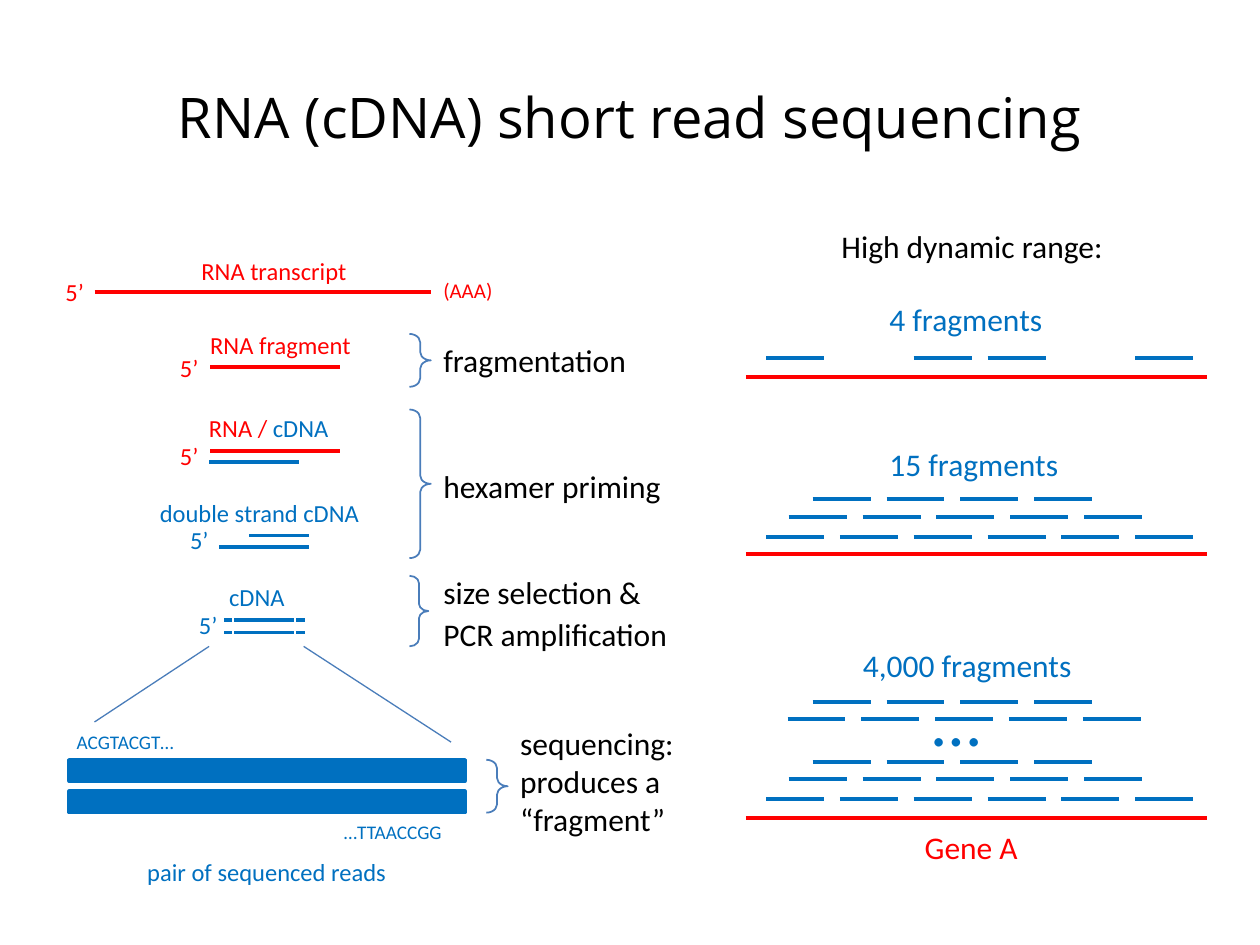
from lxml.etree import SubElement
from pptx import Presentation
from pptx.dml.color import RGBColor
from pptx.enum.shapes import MSO_CONNECTOR, MSO_SHAPE
from pptx.enum.text import MSO_ANCHOR, MSO_AUTO_SIZE, PP_ALIGN
from pptx.oxml.ns import qn
from pptx.util import Cm, Pt

RED = RGBColor(0xFF, 0x00, 0x00)
BLUE = RGBColor(0x00, 0x70, 0xC0)
STEEL = RGBColor(0x4A, 0x7D, 0xBA)
BLACK = RGBColor(0x00, 0x00, 0x00)

# Positions are in inches; inch() turns them into Cm lengths.
TITLE = "RNA (cDNA) short read sequencing"

# left, top, width, height, size, [(text, colour), ...]
LABELS = [
    (3.42, 2.15, 0.67, 0.3, 12, [("(AAA)", RED)]),
    (1.5, 1.98, 1.45, 0.34, 14, [("RNA transcript", RED)]),
    (1.57, 2.57, 1.4, 0.34, 14, [("RNA fragment", RED)]),
    (1.56, 3.23, 1.33, 0.34, 14, [("RNA / ", RED), ("cDNA", BLUE)]),
    (1.17, 3.9, 1.88, 0.34, 14, [("double strand cDNA", BLUE)]),
    (1.72, 4.57, 0.7, 0.34, 14, [("cDNA", BLUE)]),
    (3.42, 2.66, 1.67, 0.4, 18, [("fragmentation", BLACK)]),
    (3.42, 3.66, 1.96, 0.4, 18, [("hexamer priming", BLACK)]),
    (3.42, 4.5, 1.84, 0.4, 18, [("size selection &", BLACK)]),
    (3.42, 4.83, 2.12, 0.4, 18, [("PCR amplification", BLACK)]),
    (4.03, 5.7, 1.62, 1.01, 18, [("sequencing: produces a “fragment”", BLACK)]),
    (0.51, 5.75, 1.15, 0.29, 11, [("ACGTACGT…", BLUE)]),
    (2.63, 6.46, 1.15, 0.29, 11, [("…TTAACCGG", BLUE)]),
    (1.07, 6.75, 2.12, 0.34, 14, [("pair of sequenced reads", BLUE)]),
    (6.58, 1.75, 2.38, 0.4, 18, [("High dynamic range:", BLACK)]),
    (6.96, 2.33, 1.46, 0.4, 18, [("4 fragments", BLUE)]),
    (6.96, 3.48, 1.58, 0.4, 18, [("15 fragments", BLUE)]),
    (6.75, 5.08, 1.9, 0.4, 18, [("4,000 fragments", BLUE)]),
    (7.3, 5.32, 0.67, 0.77, 40, [("…", BLUE)]),
    (7.24, 6.52, 0.98, 0.4, 18, [("Gene A", RED)]),
]
FIVE_PRIME = [(0.42, 2.15, RED), (1.33, 2.75, RED), (1.33, 3.45, RED),
              (1.41, 4.12, BLUE), (1.48, 4.79, BLUE)]

# start, end, height, colour
STRANDS = [
    (0.75, 3.42, 2.32, RED),
    (1.67, 2.7, 2.91, RED),
    (1.67, 2.7, 3.58, RED),
    (1.66, 2.37, 3.67, BLUE),
    (1.74, 2.45, 4.34, BLUE),
    (1.98, 2.45, 4.25, BLUE),
]
ADAPTED_CDNA = [(1.78, 1.84), (1.86, 2.33), (2.35, 2.42)]
ADAPTED_LEVELS = [4.92, 5.02]
ZOOM_LINES = [(1.66, 5.13, 0.75, 5.73), (2.41, 5.13, 3.58, 5.89)]
BRACES = [(3.25, 2.65, 0.17, 0.42), (3.25, 3.25, 0.17, 1.18),
          (3.25, 4.57, 0.15, 0.56), (3.86, 6.03, 0.17, 0.42)]
READ_TOPS = [6.03, 6.28]

GENE_START, GENE_END = 5.92, 9.58
GENE_LEVELS = [2.99, 4.4, 6.49]
FRAGMENT, PITCH = 0.46, 0.586
# first slot, height, occupied slots
FRAGMENT_ROWS = [
    (6.08, 2.84, (0, 2, 3, 5)),
    (6.08, 4.26, range(6)),
    (6.26, 4.1, range(5)),
    (6.45, 3.96, range(4)),
    (6.08, 6.34, range(6)),
    (6.26, 6.18, range(5)),
    (6.45, 6.05, range(4)),
    (6.25, 5.71, range(5)),
    (6.45, 5.57, range(4)),
]

prs = Presentation()
prs.slide_width, prs.slide_height = Cm(25.4), Cm(19.05)
s = prs.slides.add_slide(prs.slide_layouts[6])


def inch(value):
    return Cm(value * 2.54)


def add_line(x1, y1, x2, y2, color, width=2.25):
    line = s.shapes.add_connector(MSO_CONNECTOR.STRAIGHT,
                                  *map(inch, (x1, y1, x2, y2)))
    line.line.color.rgb = color
    line.line.width = Pt(width)
    SubElement(line._element.spPr, qn("a:effectLst"))


def add_shape(kind, box, color, width):
    sp = s.shapes.add_shape(kind, *map(inch, box))
    sp.shadow.inherit = False
    sp.line.color.rgb = color
    sp.line.width = Pt(width)
    return sp


def add_text(box, size, runs, font="Calibri"):
    tf = s.shapes.add_textbox(*map(inch, box)).text_frame
    tf.word_wrap = True
    tf.auto_size = MSO_AUTO_SIZE.SHAPE_TO_FIT_TEXT
    for text, color in runs:
        r = tf.paragraphs[0].add_run()
        r.text = text
        for name, value in {"name": font, "size": Pt(size)}.items():
            setattr(r.font, name, value)
        r.font.color.rgb = color
    return tf


title = add_text((0.5, 0.3, 9, 1.25), 32, [(TITLE, BLACK)], "Open Sans")
title.auto_size = MSO_AUTO_SIZE.NONE
title.vertical_anchor = MSO_ANCHOR.MIDDLE
title.paragraphs[0].alignment = PP_ALIGN.CENTER

for start, end, y, color in STRANDS:
    add_line(start, y, end, y, color)
for y in ADAPTED_LEVELS:
    for start, end in ADAPTED_CDNA:
        add_line(start, y, end, y, BLUE)
for ends in ZOOM_LINES:
    add_line(*ends, STEEL, 0.75)

for box in BRACES:
    brace = add_shape(MSO_SHAPE.RIGHT_BRACE, box, STEEL, 1)
    brace.fill.background()
    brace.adjustments[0] = 0.39
for top in READ_TOPS:
    read = add_shape(MSO_SHAPE.RECTANGLE, (0.55, top, 3.14, 0.17), BLUE, 2)
    read.fill.solid()
    read.fill.fore_color.rgb = BLUE

for y in GENE_LEVELS:
    add_line(GENE_START, y, GENE_END, y, RED)
for first, y, slots in FRAGMENT_ROWS:
    for slot in slots:
        x = first + slot * PITCH
        add_line(x, y, x + FRAGMENT, y, BLUE)

for *box, size, runs in LABELS:
    add_text(box, size, runs)
for left, top, color in FIVE_PRIME:
    add_text((left, top, 0.38, 0.34), 14, [("5’", color)])

prs.save("out.pptx")
